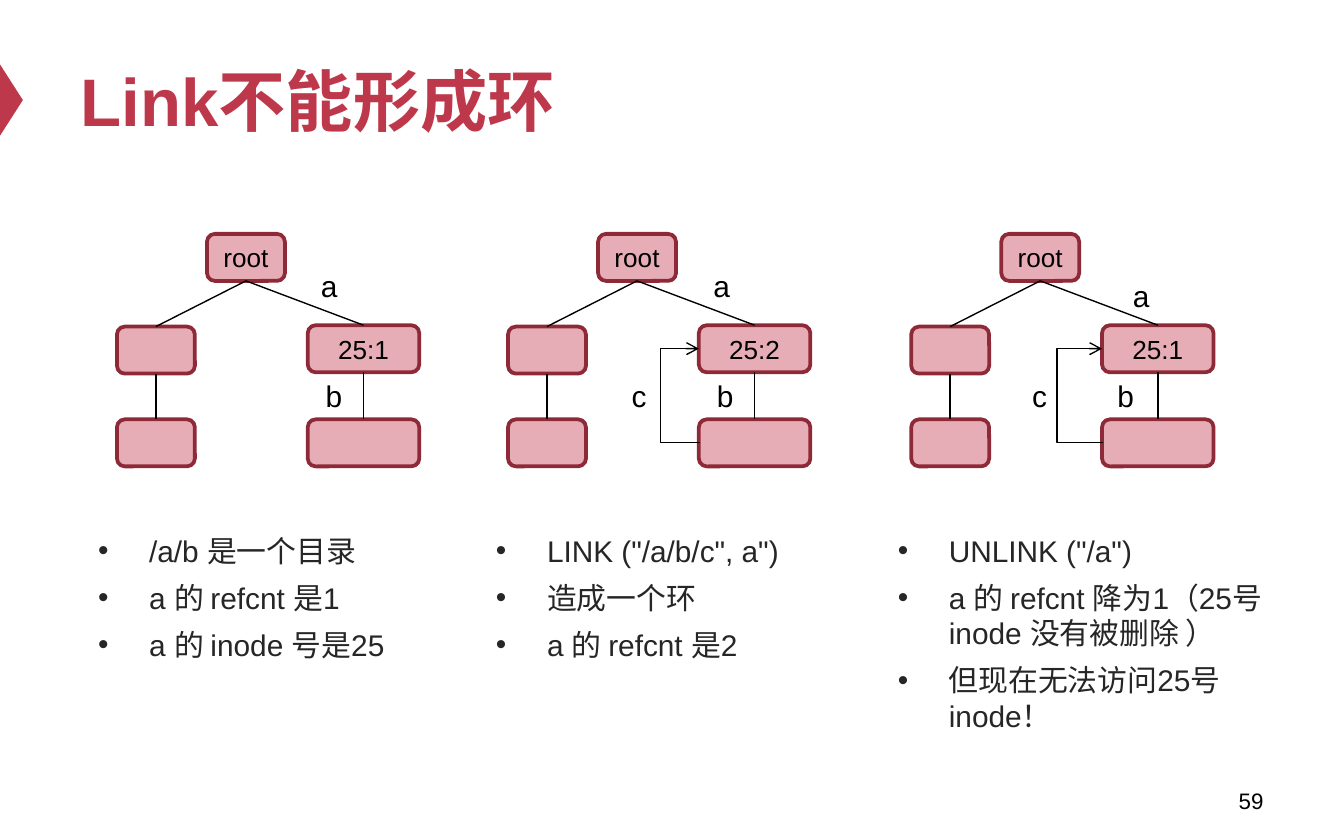
from pptx import Presentation
from pptx.dml.color import RGBColor
from pptx.enum.shapes import MSO_CONNECTOR, MSO_SHAPE
from pptx.enum.text import MSO_ANCHOR, MSO_AUTO_SIZE, PP_ALIGN
from pptx.oxml.ns import qn
from pptx.util import Inches, Pt
from lxml.etree import SubElement

HUES = {"red": "BE384B", "pink": "E7ADB6", "edge": "8E2A38",
        "ink": "000000", "gray": "262626"}
TITLE = "Link不能形成环"
PAGE = "59"
TREES = [
    {"left": 0.87, "node": "25:1", "loop": 0,
     "tags": [("a", 1.08, 1.94, 1), ("b", 1.25, 2.76, 0.73)],
     "list": (0.63, 2.79, 1.08),
     "items": ["/a/b 是一个目录", "a 的 refcnt 是1", "a 的 inode 号是25"]},
    {"left": 3.78, "node": "25:2", "loop": 0.29,
     "tags": [("a", 1.09, 1.94, 1), ("b", 1.25, 2.76, 0.73), ("c", 0.61, 2.76, 0.73)],
     "list": (3.59, 2.75, 1.43),
     "items": ['LINK ("/a/b/c", a")', "造成一个环", "a 的 refcnt 是2"]},
    {"left": 6.78, "node": "25:1", "loop": 0.34,
     "tags": [("a", 1.21, 2.02, 1), ("b", 1.23, 2.76, 0.73), ("c", 0.59, 2.76, 0.73)],
     "list": (6.58, 3.3, 1.35),
     "items": ['UNLINK ("/a")', "a 的 refcnt 降为1（25号 inode 没有被删除 ）",
               "但现在无法访问25号 inode！"]},
]
NODES = {"root": (0.67, 1.74, 0.58), "left": (0, 2.43, 0.58), "right": (1.42, 2.42, 0.83),
         "leaf": (0, 3.12, 0.58), "end": (1.42, 3.12, 0.83)}
EDGES = [("root", "left"), ("left", "leaf"), ("root", "right"), ("right", "end")]
TALL = 0.35
GAP = 0.01


def hue(name):
    return RGBColor.from_string(HUES[name])


def write(para, text, size, color, bold=False):
    run = para.add_run()
    run.text = text
    font = run.font
    font.name, font.size, font.bold = "Arial", Pt(size), bold
    font.color.rgb = hue(color)


def place(shape, *area):
    shape.left, shape.top, shape.width, shape.height = map(Inches, area)


def label(slide, text, area, size, align):
    frame = slide.shapes.add_textbox(*map(Inches, area)).text_frame
    frame.word_wrap = True
    frame.paragraphs[0].alignment = align
    write(frame.paragraphs[0], text, size, "ink")
    return frame


def box(slide, area, text):
    shape = slide.shapes.add_shape(MSO_SHAPE.ROUNDED_RECTANGLE, *map(Inches, area))
    shape.shadow.inherit = False
    shape.fill.solid()
    shape.fill.fore_color.rgb = hue("pink")
    shape.line.color.rgb = hue("edge")
    shape.line.width = Pt(2)
    if text:
        frame = shape.text_frame
        frame.margin_left = frame.margin_right = 0
        frame.vertical_anchor = MSO_ANCHOR.MIDDLE
        frame.paragraphs[0].alignment = PP_ALIGN.CENTER
        write(frame.paragraphs[0], text, 14, "ink")
    return shape


def wire(slide, kind, *ends):
    line = slide.shapes.add_connector(kind, *map(Inches, ends))
    line.line.color.rgb = hue("ink")
    line.line.width = Pt(0.75)
    SubElement(line._element.spPr, qn("a:effectLst"))
    return line


def loop(slide, left, reach):
    mid = TALL / 2
    line = wire(slide, MSO_CONNECTOR.ELBOW, left + GAP, NODES["end"][1] + mid,
                left, NODES["right"][1] + mid)
    guide = SubElement(line._element.spPr.find(qn("a:prstGeom")).get_or_add_avLst(), qn("a:gd"))
    guide.set("name", "adj1")
    guide.set("fmla", f"val {round((reach + GAP) / GAP * 100000)}")
    SubElement(line.line._get_or_add_ln(), qn("a:tailEnd"), type="arrow")


def fill(body, items):
    frame = body.text_frame
    frame.auto_size = MSO_AUTO_SIZE.NONE
    frame.word_wrap = True
    frame.vertical_anchor = MSO_ANCHOR.TOP
    for i, item in enumerate(items):
        para = frame.add_paragraph() if i else frame.paragraphs[0]
        props = para._p.get_or_add_pPr()
        props.set("marL", str(Inches(0.38)))
        props.set("indent", str(-Inches(0.38)))
        SubElement(props, qn("a:buChar"), char="•")
        para.space_before = Pt(6 if i else 0)
        write(para, item, 16, "gray")


def draw(slide, tree, body):
    left, texts = tree["left"], {"root": "root", "right": tree["node"]}
    boxes = {name: box(slide, (left + x, y, wide, TALL), texts.get(name))
             for name, (x, y, wide) in NODES.items()}
    for top, low in EDGES:
        line = wire(slide, MSO_CONNECTOR.STRAIGHT, 0, 0, 1, 1)
        line.begin_connect(boxes[top], 2)
        line.end_connect(boxes[low], 0)
    if tree["loop"]:
        loop(slide, left + NODES["right"][0], tree["loop"])
    for text, x, y, wide in tree["tags"]:
        label(slide, text, (left + x, y, wide, 0.37), 16, PP_ALIGN.CENTER)
    x, wide, tall = tree["list"]
    place(body, x, 3.91, wide, tall)
    fill(body, tree["items"])


def main():
    """Build the slide on why links must not form a cycle."""
    deck = Presentation()
    deck.slide_width, deck.slide_height = Inches(10), Inches(6.25)
    slide = deck.slides.add_slide(deck.slide_layouts[4])
    mark = slide.shapes.add_shape(MSO_SHAPE.ISOSCELES_TRIANGLE,
                                  *map(Inches, (-0.18, 0.66, 0.53, 0.17)))
    mark.rotation = 90
    mark.shadow.inherit = False
    mark.fill.solid()
    mark.fill.fore_color.rgb = hue("red")
    mark.line.fill.background()
    title, *bodies, spare = slide.placeholders
    spare._element.getparent().remove(spare._element)
    place(title, 0.5, 0.25, 9, 0.98)
    title.text_frame.vertical_anchor = MSO_ANCHOR.MIDDLE
    title.text_frame.paragraphs[0].alignment = PP_ALIGN.LEFT
    write(title.text_frame.paragraphs[0], TITLE, 36, "red", True)
    page = label(slide, PAGE, (7.17, 5.79, 2.33, 0.33), 12, PP_ALIGN.RIGHT)
    page.vertical_anchor = MSO_ANCHOR.MIDDLE
    for tree, body in zip(TREES, bodies):
        draw(slide, tree, body)
    deck.save("out.pptx")


if __name__ == "__main__":
    main()
